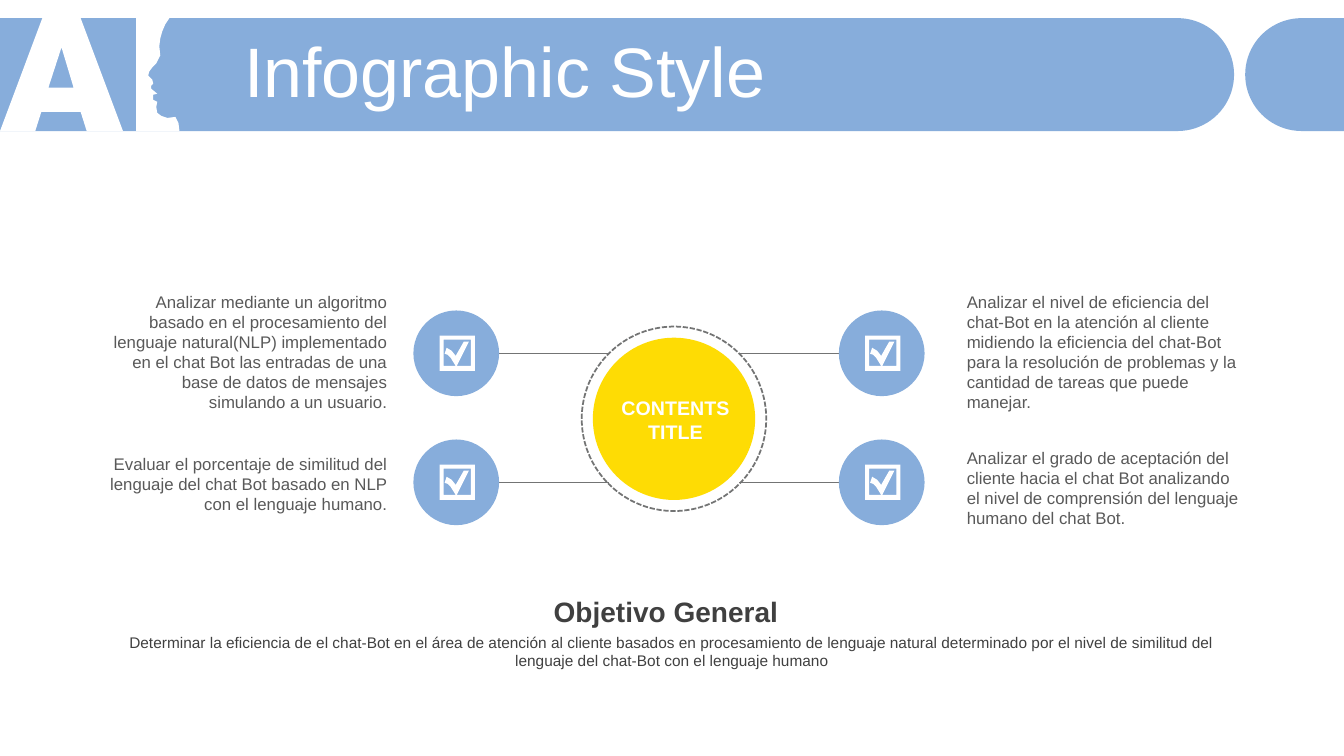
from math import cos, pi, sin

from lxml import etree
from pptx import Presentation
from pptx.dml.color import RGBColor
from pptx.enum.dml import MSO_LINE
from pptx.enum.shapes import MSO_CONNECTOR, MSO_SHAPE
from pptx.enum.text import MSO_ANCHOR, MSO_AUTO_SIZE, PP_ALIGN
from pptx.oxml.ns import qn
from pptx.util import Inches, Pt

OVAL, LINE = MSO_SHAPE.OVAL, MSO_CONNECTOR.STRAIGHT
LEFT, MID, RIGHT = PP_ALIGN.LEFT, PP_ALIGN.CENTER, PP_ALIGN.RIGHT
DASH = MSO_LINE.SQUARE_DOT
BLUE, GOLD, WHITE = "87ADDB", "FEDC04", "FFFFFF"
DARK, SOFT, RULE = "404040", "595959", "737474"

# Outlines in inches, relative to their own box
LETTERS = [
    [(0.42, 0), (0.8, 0), (1.22, 1.12), (0.86, 1.12), (0.8, 0.93),
     (0.41, 0.93), (0.35, 1.12), (0, 1.12)],
    [(0.61, 0.29), (0.48, 0.69), (0.73, 0.69)],
    [(1.35, 0), (1.68, 0), (1.64, 0.06), (1.61, 0.13), (1.59, 0.2),
     (1.58, 0.28), (1.59, 0.37), (1.55, 0.45), (1.51, 0.49), (1.48, 0.53),
     (1.47, 0.57), (1.51, 0.61), (1.52, 0.65), (1.5, 0.67), (1.5, 0.7),
     (1.56, 0.75), (1.52, 0.76), (1.52, 0.81), (1.56, 0.83), (1.55, 0.88),
     (1.56, 0.94), (1.6, 0.97), (1.66, 0.99), (1.74, 0.98), (1.77, 1.04),
     (1.78, 1.12), (1.35, 1.12)],
]
CHECK = [
    [(0, 0), (0.35, 0), (0.35, 0.35), (0, 0.35)],
    [(0.04, 0.04), (0.04, 0.3), (0.16, 0.3), (0.11, 0.22), (0.08, 0.19),
     (0.05, 0.18), (0.07, 0.12), (0.12, 0.15), (0.16, 0.2), (0.2, 0.13),
     (0.24, 0.06), (0.29, 0.06), (0.23, 0.18), (0.17, 0.3), (0.31, 0.3),
     (0.31, 0.04)],
]


def tint(code):
    return RGBColor.from_string(code)


def paint(shape, fill=None):
    shape.shadow.inherit = False
    shape.line.fill.background()
    if fill:
        shape.fill.solid()
        shape.fill.fore_color.rgb = tint(fill)
    else:
        shape.fill.background()
    return shape


def trace(slide, x, y, loops, fill):
    """Draw closed loops as one shape; inner loops are holes."""
    loops = [[(Inches(x + a), Inches(y + b)) for a, b in loop] for loop in loops]
    pen = slide.shapes.build_freeform(*loops[0][0])
    for i, loop in enumerate(loops):
        if i:
            pen.move_to(*loop[0])
        pen.add_line_segments(loop[1:], close=True)
    return paint(pen.convert_to_shape(), fill)


def disc(slide, x, y, size, fill=None):
    box = map(Inches, (x, y, size, size))
    return paint(slide.shapes.add_shape(OVAL, *box), fill)


def style(frame, size, color, align, bold=False):
    for para in frame.paragraphs:
        para.alignment = align
        for run in para.runs:
            font = run.font
            font.name, font.size, font.bold = "Arial", Pt(size), bold
            font.color.rgb = tint(color)


def write(slide, box, text, size, color, align, bold=False, pad=True):
    frame = slide.shapes.add_textbox(*map(Inches, box)).text_frame
    frame.word_wrap = True
    if not pad:
        frame.margin_left = frame.margin_right = 0
        frame.margin_top = frame.margin_bottom = 0
    frame.text = text
    style(frame, size, color, align, bold)


def band(slide, flat, mid, y, high):
    """A bar from a flat edge to a half circle centred at mid."""
    r = high / 2
    side = 1 if mid > flat else -1
    turns = [pi * i / 40 - pi / 2 for i in range(41)]
    arc = [(mid + side * r * cos(t), r + r * sin(t)) for t in turns]
    trace(slide, 0, y, [[(flat, 0), *arc, (flat, high)]], BLUE)


def header(slide, y, high):
    band(slide, 0, 11.68, y, high)
    trace(slide, 0, y, LETTERS, WHITE)
    band(slide, 13.33, 12.91, y, high)
    # Title, raised above the bands
    title = slide.shapes.title
    title.left, title.top = Inches(2.32), Inches(y + 0.19)
    title.width, title.height = Inches(10.69), Inches(0.79)
    frame = title.text_frame
    frame.text = "Infographic Style"
    frame.auto_size = MSO_AUTO_SIZE.NONE
    frame.vertical_anchor = MSO_ANCHOR.MIDDLE
    frame.paragraphs[0].line_spacing = 0.8
    style(frame, 50, WHITE, LEFT)
    slide.shapes._spTree.append(title._element)


def hub(slide, x, y, size):
    gap = 0.11
    disc(slide, x + gap, y + gap, size - 2 * gap, GOLD)
    ring = disc(slide, x, y, size).line
    ring.color.rgb, ring.width, ring.dash_style = tint(RULE), Pt(1.25), DASH
    write(slide, (x + 0.15, y + 0.64, 1.56, 0.57), "CONTENTS\nTITLE",
          14, WHITE, MID, True)


def spoke(slide, x, end, y):
    ends = map(Inches, (x, y, end, y))
    link = slide.shapes.add_connector(LINE, *ends)
    link.line.color.rgb, link.line.width = tint(RULE), Pt(0.5)
    etree.SubElement(link._element.spPr, qn("a:effectLst"))


def badge(slide, x, y):
    disc(slide, x, y, 0.85, BLUE)
    trace(slide, x + 0.26, y + 0.25, CHECK, WHITE)


def goals(slide, x, y):
    """Four goals around the hub; x, y is the first badge's corner."""
    rows = (y, y + 1.28)
    sides = [
        (x, x + 0.85, 6.04, 0.96, RIGHT, [
            (2.84, 1.31, "Analizar mediante un algoritmo basado en el procesamiento del lenguaje natural(NLP) implementado en el chat Bot las entradas de una base de datos de mensajes simulando a un usuario."),
            (4.45, 0.71, "Evaluar el porcentaje de similitud del lenguaje del chat Bot basado en NLP con el lenguaje humano.")]),
        (x + 4.22, x + 4.22, 7.33, 9.49, LEFT, [
            (2.84, 1.31, "Analizar el nivel de eficiencia del chat-Bot en la atención al cliente midiendo la eficiencia del chat-Bot para la resolución de problemas y la cantidad de tareas que puede manejar."),
            (4.39, 0.91, "Analizar el grado de aceptación del cliente hacia el chat Bot analizando el nivel de comprensión del lenguaje humano del chat Bot.")]),
    ]
    for spot, start, end, edge, align, notes in sides:
        for row, (top, high, text) in zip(rows, notes):
            spoke(slide, start, end, row + 0.43)
            badge(slide, spot, row)
            write(slide, (edge, top, 2.98, high), text, 12, SOFT, align)


def footer(slide, x, y, wide):
    write(slide, (x, y, wide, 0.34), "Objetivo General",
          20, DARK, MID, True, pad=False)
    write(slide, (x + 0.11, y + 0.38, wide - 0.1, 0.37),
          "Determinar la eficiencia de el chat-Bot en el área de atención al cliente basados en procesamiento de lenguaje natural determinado por el nivel de similitud del lenguaje del chat-Bot con el lenguaje humano",
          11, DARK, MID, pad=False)


def main():
    deck = Presentation()
    deck.slide_width, deck.slide_height = Inches(13.33), Inches(7.5)
    slide = deck.slides.add_slide(deck.slide_layouts[5])
    header(slide, 0.18, 1.12)
    hub(slide, 5.77, 3.24, 1.83)
    goals(slide, 4.1, 3.08)
    footer(slide, 1, 5.9, 11.21)
    deck.save("out.pptx")


if __name__ == "__main__":
    main()
